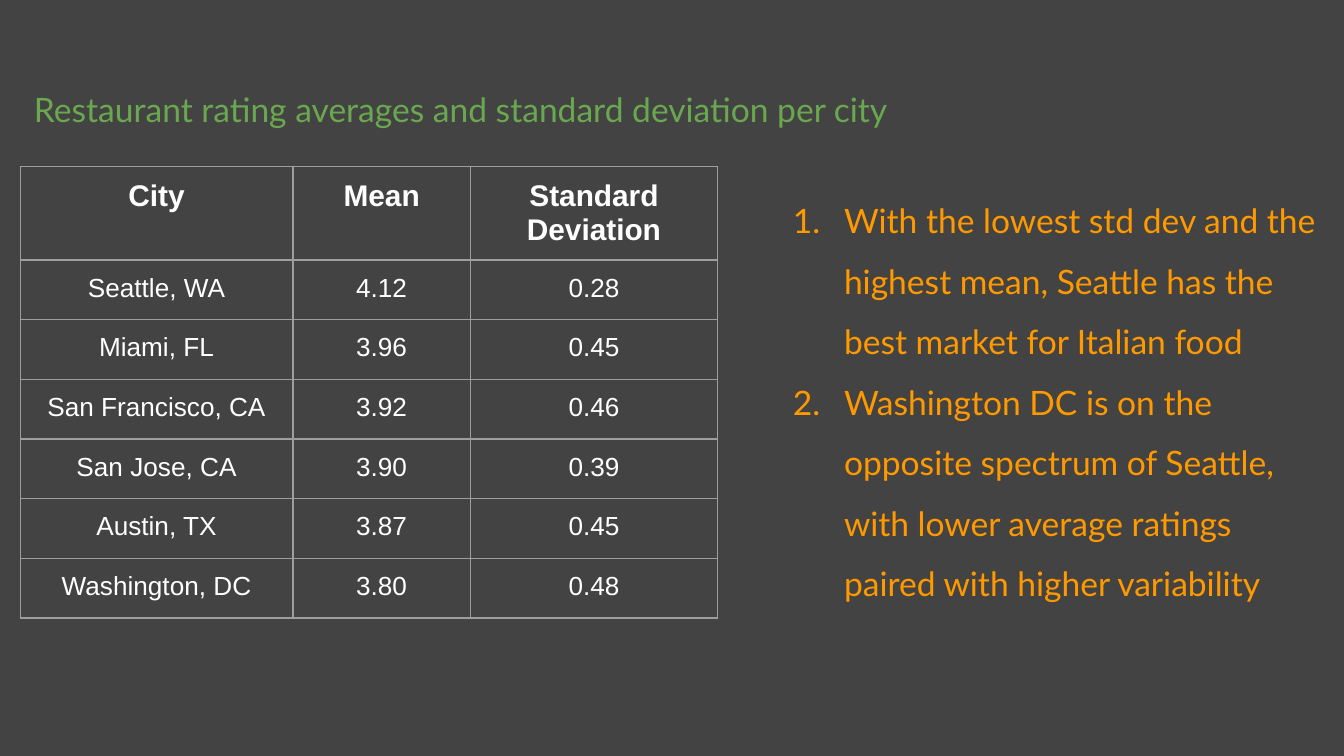
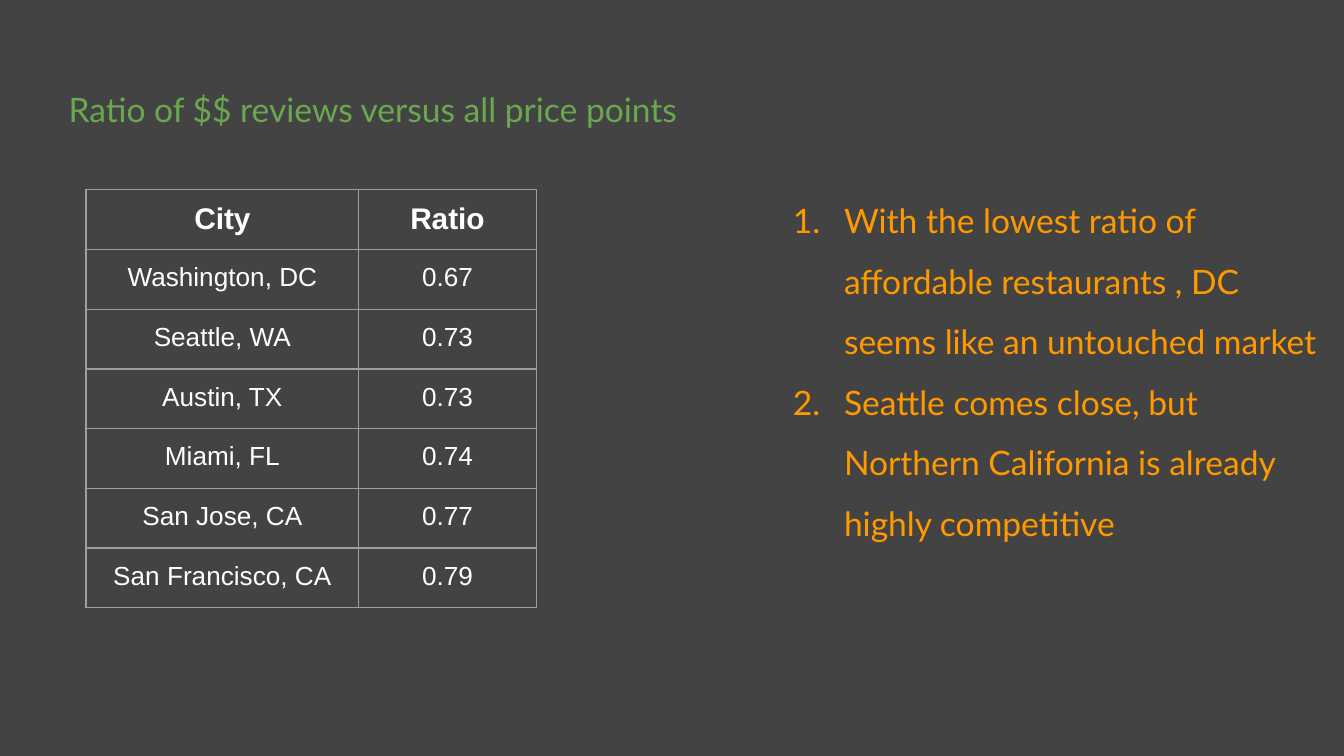
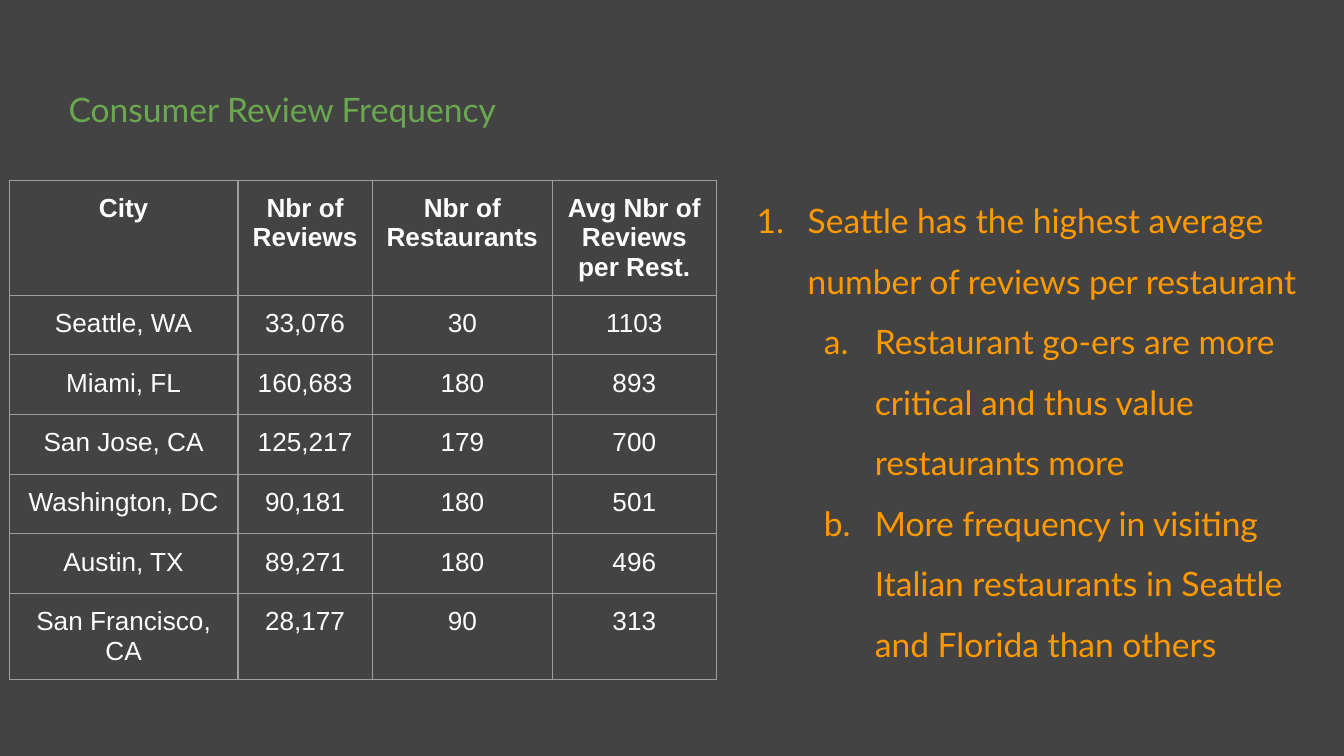
from dataclasses import dataclass

from lxml.etree import SubElement
from pptx import Presentation
from pptx.dml.color import RGBColor
from pptx.enum.text import MSO_ANCHOR, MSO_AUTO_SIZE, PP_ALIGN
from pptx.oxml.ns import qn
from pptx.presentation import Presentation as Deck
from pptx.shapes.placeholder import SlidePlaceholder
from pptx.slide import Slide
from pptx.table import _Cell
from pptx.text.text import Font, TextFrame, _Paragraph
from pptx.util import Emu, Inches, Length, Pt


@dataclass(frozen=True)
class Theme:
    background: RGBColor = RGBColor(0x43, 0x43, 0x43)
    heading: RGBColor = RGBColor(0x6A, 0xA8, 0x4F)
    finding: RGBColor = RGBColor(0xFF, 0x99, 0x00)
    table_text: RGBColor = RGBColor(0xFF, 0xFF, 0xFF)
    grid: RGBColor = RGBColor(0x9E, 0x9E, 0x9E)
    text_face: str = "Lato"
    table_face: str = "Arial"
    text_size: Length = Pt(18)
    cell_size: Length = Pt(14)
    grid_width: Length = Pt(0.75)


THEME = Theme()
SLIDE_WIDTH = Inches(10)
SLIDE_HEIGHT = SLIDE_WIDTH * 9 // 16
INSET = Inches(0.1)
TABLE_HEIGHT = Inches(3.11)
HEADING_LEFT, HEADING_TOP, HEADING_HEIGHT = Inches(0.15), Inches(0.56), Inches(0.68)
FINDINGS_TOP, FINDINGS_RIGHT = Inches(1.24), Inches(9.91)
NUMBER_HANG = Inches(0.38)
LEVEL_INDENT = Inches(0.5)
NUMBERING = ("arabicPeriod", "alphaLcPeriod")


@dataclass(frozen=True)
class Heading:
    text: str
    width: Length
    align: PP_ALIGN = PP_ALIGN.CENTER
    indent: Length = Emu(0)


@dataclass(frozen=True)
class CityTable:
    left: Length
    top: Length
    column_widths: tuple[Length, ...]
    rows: tuple[tuple[str, ...], ...]
    header_size: Length = Pt(16)


@dataclass(frozen=True)
class Finding:
    text: str
    level: int = 0


@dataclass(frozen=True)
class Findings:
    left: Length
    height: Length
    items: tuple[Finding, ...]


@dataclass(frozen=True)
class CitySlide:
    heading: Heading
    table: CityTable
    findings: Findings


CITY_SLIDES = (
    CitySlide(
        Heading("Restaurant rating averages and standard deviation per city", Inches(6.56)),
        CityTable(
            Inches(0.15), Inches(1.24),
            (Inches(2.03), Inches(1.32), Inches(1.84)),
            (
                ("City", "Mean", "Standard Deviation"),
                ("Seattle, WA", "4.12", "0.28"),
                ("Miami, FL", "3.96", "0.45"),
                ("San Francisco, CA", "3.92", "0.46"),
                ("San Jose, CA", "3.90", "0.39"),
                ("Austin, TX", "3.87", "0.45"),
                ("Washington, DC", "3.80", "0.48"),
            ),
        ),
        Findings(Inches(5.68), Inches(3.41), (
            Finding("With the lowest std dev and the highest mean, Seattle has the "
                    "best market for Italian food"),
            Finding("Washington DC is on the opposite spectrum of Seattle, with lower "
                    "average ratings paired with higher variability"),
        )),
    ),
    CitySlide(
        Heading("Ratio of $$ reviews versus all price points", Inches(5.25)),
        CityTable(
            Inches(0.64), Inches(1.41),
            (Inches(2.03), Inches(1.32)),
            (
                ("City", "Ratio"),
                ("Washington, DC", "0.67"),
                ("Seattle, WA", "0.73"),
                ("Austin, TX", "0.73"),
                ("Miami, FL", "0.74"),
                ("San Jose, CA", "0.77"),
                ("San Francisco, CA", "0.79"),
            ),
        ),
        Findings(Inches(5.68), Inches(3.41), (
            Finding("With the lowest ratio of affordable restaurants , DC seems like "
                    "an untouched market"),
            Finding("Seattle comes close, but Northern California is already highly "
                    "competitive"),
        )),
    ),
    CitySlide(
        Heading("Consumer Review Frequency", Inches(5.25), PP_ALIGN.LEFT, Inches(0.26)),
        CityTable(
            Inches(0.07), Inches(1.34),
            (Inches(1.7), Inches(1), Inches(1.34), Inches(1.22)),
            (
                ("City", "Nbr of Reviews", "Nbr of Restaurants", "Avg Nbr of Reviews per Rest."),
                ("Seattle, WA", "33,076", "30", "1103"),
                ("Miami, FL", "160,683", "180", "893"),
                ("San Jose, CA", "125,217", "179", "700"),
                ("Washington, DC", "90,181", "180", "501"),
                ("Austin, TX", "89,271", "180", "496"),
                ("San Francisco, CA", "28,177", "90", "313"),
            ),
            header_size=THEME.cell_size,
        ),
        Findings(Inches(5.41), Inches(3.87), (
            Finding("Seattle has the highest average number of reviews per restaurant"),
            Finding("Restaurant go-ers are more critical and thus value restaurants more", 1),
            Finding("More frequency in visiting Italian restaurants in Seattle and "
                    "Florida than others", 1),
        )),
    ),
)


def set_font(font: Font, face: str, size: Length, color: RGBColor, bold: bool = False) -> None:
    font.name, font.size, font.bold = face, size, bold
    font.color.rgb = color


def set_insets(target: TextFrame | _Cell) -> None:
    target.margin_left = target.margin_right = INSET
    target.margin_top = target.margin_bottom = INSET


def place(holder: SlidePlaceholder, left: Length, top: Length,
          width: Length, height: Length) -> TextFrame:
    """Move a placeholder and return its text frame, top-anchored and unscaled."""
    holder.left, holder.top, holder.width, holder.height = left, top, width, height
    frame = holder.text_frame
    frame.word_wrap = True
    frame.auto_size = MSO_AUTO_SIZE.NONE
    frame.vertical_anchor = MSO_ANCHOR.TOP
    set_insets(frame)
    return frame


def add_heading(slide: Slide, heading: Heading) -> None:
    frame = place(slide.shapes.title, HEADING_LEFT, HEADING_TOP, heading.width, HEADING_HEIGHT)
    frame.margin_left = INSET + heading.indent
    frame.text = heading.text
    line = frame.paragraphs[0]
    line.alignment = heading.align
    set_font(line.font, THEME.text_face, THEME.text_size, THEME.heading)


def number_paragraph(paragraph: _Paragraph, level: int) -> None:
    paragraph.level = level
    properties = paragraph._p.get_or_add_pPr()
    properties.set("marL", str(LEVEL_INDENT * (level + 1)))
    properties.set("indent", str(-NUMBER_HANG))
    number_color = SubElement(properties, qn("a:buClr"))
    SubElement(number_color, qn("a:srgbClr"), val=str(THEME.finding))
    SubElement(properties, qn("a:buFont"), typeface=THEME.text_face)
    SubElement(properties, qn("a:buAutoNum"), type=NUMBERING[level])


def add_findings(slide: Slide, findings: Findings) -> None:
    frame = place(slide.placeholders[1], findings.left, FINDINGS_TOP,
                  FINDINGS_RIGHT - findings.left, findings.height)
    frame.text = "\n".join(item.text for item in findings.items)
    for paragraph, item in zip(frame.paragraphs, findings.items):
        number_paragraph(paragraph, item.level)
        paragraph.line_spacing = 1.5
        paragraph.space_before = Pt(0)
        set_font(paragraph.font, THEME.text_face, THEME.text_size, THEME.finding)


def outline_cell(cell: _Cell) -> None:
    properties = cell._tc.get_or_add_tcPr()
    for side in ("lnL", "lnR", "lnT", "lnB"):
        border = SubElement(properties, qn(f"a:{side}"), w=str(THEME.grid_width))
        fill = SubElement(border, qn("a:solidFill"))
        SubElement(fill, qn("a:srgbClr"), val=str(THEME.grid))


def add_city_table(slide: Slide, spec: CityTable) -> None:
    table = slide.shapes.add_table(
        len(spec.rows), len(spec.column_widths), spec.left, spec.top,
        sum(spec.column_widths), TABLE_HEIGHT).table
    table.first_row = table.horz_banding = False
    for column, width in zip(table.columns, spec.column_widths):
        column.width = width
    for row_index, values in enumerate(spec.rows):
        is_header = row_index == 0
        size = spec.header_size if is_header else THEME.cell_size
        for cell, value in zip(table.rows[row_index].cells, values):
            cell.text = value
            set_insets(cell)
            outline_cell(cell)
            cell.fill.background()
            line = cell.text_frame.paragraphs[0]
            line.alignment = PP_ALIGN.CENTER
            set_font(line.font, THEME.table_face, size, THEME.table_text, is_header)


def add_city_slide(deck: Deck, content: CitySlide) -> None:
    slide = deck.slides.add_slide(deck.slide_layouts[1])
    add_heading(slide, content.heading)
    add_findings(slide, content.findings)
    add_city_table(slide, content.table)


def main() -> None:
    deck = Presentation()
    deck.slide_width, deck.slide_height = SLIDE_WIDTH, SLIDE_HEIGHT
    backdrop = deck.slide_master.background.fill
    backdrop.solid()
    backdrop.fore_color.rgb = THEME.background
    for content in CITY_SLIDES:
        add_city_slide(deck, content)
    deck.save("out.pptx")


if __name__ == "__main__":
    main()
